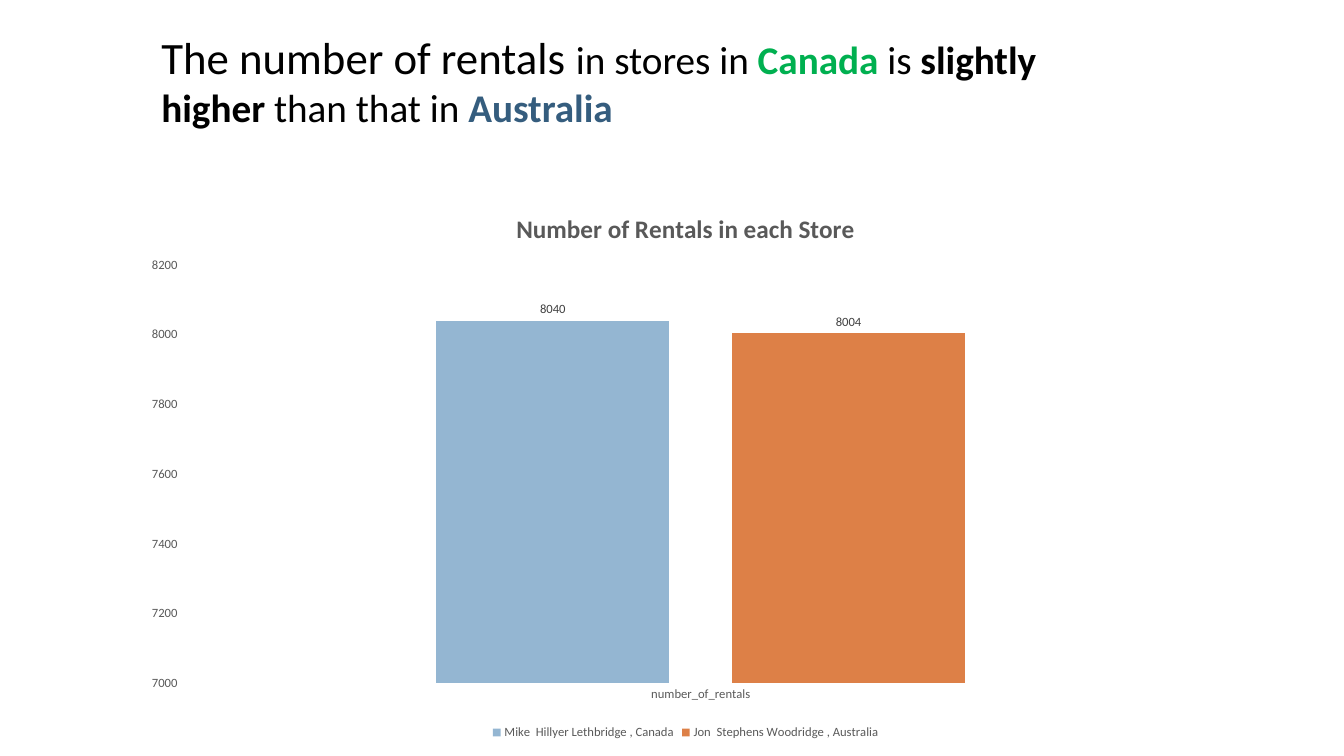
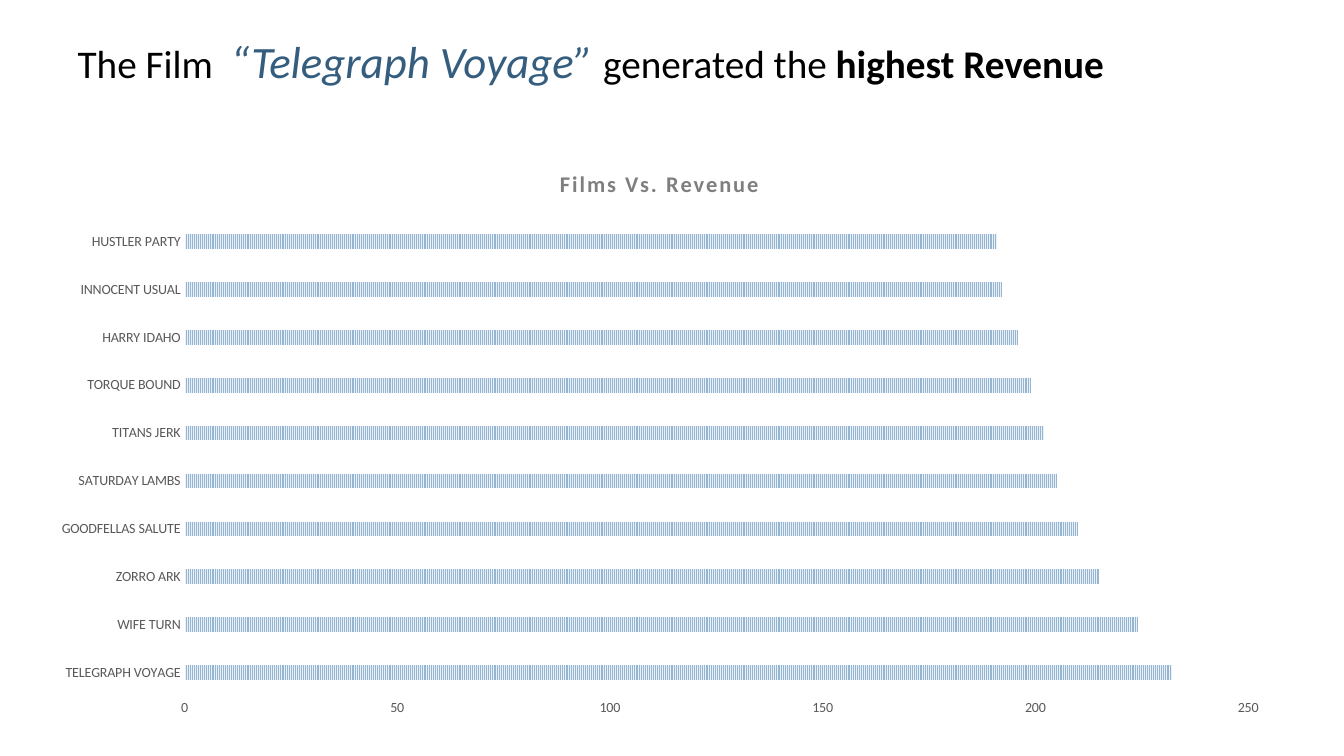
from dataclasses import dataclass
from typing import Optional

from lxml import etree
from pptx import Presentation
from pptx.chart.data import CategoryChartData
from pptx.dml.color import RGBColor
from pptx.enum.chart import XL_CHART_TYPE, XL_LABEL_POSITION, XL_LEGEND_POSITION, XL_TICK_MARK
from pptx.enum.dml import MSO_PATTERN
from pptx.enum.text import MSO_ANCHOR, MSO_AUTO_SIZE, PP_ALIGN
from pptx.oxml.ns import qn
from pptx.util import Inches, Pt

COLUMNS, BARS = XL_CHART_TYPE.COLUMN_CLUSTERED, XL_CHART_TYPE.BAR_CLUSTERED
OUTSIDE_END = XL_LABEL_POSITION.OUTSIDE_END
LEGEND_BOTTOM = XL_LEGEND_POSITION.BOTTOM
NO_TICK = XL_TICK_MARK.NONE
NARROW_VERTICAL = MSO_PATTERN.NARROW_VERTICAL
TOP, LEFT = MSO_ANCHOR.TOP, PP_ALIGN.LEFT
FIT_SHAPE = MSO_AUTO_SIZE.SHAPE_TO_FIT_TEXT

FONT = "Calibri"
BLACK, GREEN, NAVY = "000000", "00B050", "355D7E"
BLUE, PALE_BLUE, ORANGE = "94B6D2", "EAF0F6", "DD8047"
DARK_GREY, GREY, LIGHT_GREY = "404040", "595959", "7F7F7F"
TITLE_ONLY = 5


@dataclass
class Box:
    """A rectangle in inches."""
    left: float
    top: float
    width: float
    height: float

    def emu(self) -> tuple:
        return tuple(Inches(v) for v in (self.left, self.top, self.width, self.height))


@dataclass
class Span:
    """A stretch of title text in one format."""
    text: str
    size: float = 28
    color: str = BLACK
    bold: bool = False
    italic: bool = False


@dataclass
class Series:
    name: str
    values: list
    color: str
    pattern_back: Optional[str] = None


@dataclass
class ChartSpec:
    kind: int
    box: Box
    plot: Box
    title: str
    title_size: float
    title_color: str
    categories: list
    series: list
    scale: tuple  # minimum, maximum, major unit
    gap: int
    overlap: int
    text_size: float
    title_spacing: int = 0  # hundredths of a point
    labelled: bool = False  # value labels and legend


def rgb(color: str) -> RGBColor:
    return RGBColor.from_string(color)


def style_font(font, size: float, color: str, bold: bool = False, italic: bool = False) -> None:
    font.name, font.size = FONT, Pt(size)
    font.bold, font.italic = bold, italic
    font.color.rgb = rgb(color)


def add_text(p, text: str, **fmt):
    r = p.add_run()
    r.text = text
    style_font(r.font, **fmt)
    return r


def set_title(s, box: Box, spans: list) -> None:
    sp = s.shapes.title
    sp.left, sp.top, sp.width, sp.height = box.emu()
    tf = sp.text_frame
    tf.word_wrap, tf.vertical_anchor, tf.auto_size = True, TOP, FIT_SHAPE
    p = tf.paragraphs[0]
    p.alignment = LEFT
    for span in spans:
        add_text(p, span.text, size=span.size, color=span.color,
                 bold=span.bold, italic=span.italic)


def place_plot(chart, box: Box, plot: Box) -> None:
    """Fix the inner plot area, given in slide inches."""
    area = chart._chartSpace.find(qn("c:chart")).find(qn("c:plotArea"))
    for old in area.findall(qn("c:layout")):
        area.remove(old)
    layout = etree.Element(qn("c:layout"))
    manual = etree.SubElement(layout, qn("c:manualLayout"))
    settings = {
        "layoutTarget": "inner", "xMode": "edge", "yMode": "edge",
        "x": (plot.left - box.left) / box.width,
        "y": (plot.top - box.top) / box.height,
        "w": plot.width / box.width,
        "h": plot.height / box.height,
    }
    for tag, value in settings.items():
        etree.SubElement(manual, qn(f"c:{tag}")).set("val", str(value))
    area.insert(0, layout)


def add_chart(s, spec: ChartSpec) -> None:
    data = CategoryChartData()
    data.categories = spec.categories
    for series in spec.series:
        data.add_series(series.name, series.values)
    chart = s.shapes.add_chart(spec.kind, *spec.box.emu(), data).chart
    style_font(chart.font, 10, BLACK)
    place_plot(chart, spec.box, spec.plot)

    # Chart title
    chart.has_title = True
    r = add_text(chart.chart_title.text_frame.paragraphs[0], spec.title,
                 size=spec.title_size, color=spec.title_color, bold=True)
    if spec.title_spacing:
        r.font._element.set("spc", str(spec.title_spacing))
    chart.chart_title.include_in_layout = False

    # Axes
    for axis in (chart.category_axis, chart.value_axis):
        axis.has_major_gridlines = False
        axis.major_tick_mark = axis.minor_tick_mark = NO_TICK
        axis.format.line.fill.background()
        style_font(axis.tick_labels.font, spec.text_size, GREY)
    axis = chart.value_axis
    axis.minimum_scale, axis.maximum_scale, axis.major_unit = spec.scale

    # Bars
    plot = chart.plots[0]
    plot.gap_width, plot.overlap, plot.vary_by_categories = spec.gap, spec.overlap, False
    for bars, series in zip(plot.series, spec.series):
        fill = bars.format.fill
        if series.pattern_back:
            fill.patterned()
            fill.pattern = NARROW_VERTICAL
            fill.fore_color.rgb = rgb(series.color)
            fill.back_color.rgb = rgb(series.pattern_back)
        else:
            fill.solid()
            fill.fore_color.rgb = rgb(series.color)
        bars.format.line.fill.background()

    # Value labels and legend
    chart.has_legend = spec.labelled
    if spec.labelled:
        plot.has_data_labels = True
        labels = plot.data_labels
        labels.show_value, labels.position = True, OUTSIDE_END
        style_font(labels.font, spec.text_size, DARK_GREY)
        chart.legend.position = LEGEND_BOTTOM
        chart.legend.include_in_layout = False
        style_font(chart.legend.font, spec.text_size, GREY)


RENTALS = ChartSpec(
    kind=COLUMNS, box=Box(1.28, 1.89, 11.04, 5.49), plot=Box(1.8, 2.63, 10.3, 4.15),
    title="Number of Rentals in each Store", title_size=18, title_color=GREY,
    categories=["number_of_rentals"],
    series=[Series("Mike  Hillyer Lethbridge , Canada", [8040], BLUE),
            Series("Jon  Stephens Woodridge , Australia", [8004], ORANGE)],
    scale=(7000, 8200, 200), gap=219, overlap=-27, text_size=9, labelled=True)

REVENUE = ChartSpec(
    kind=BARS, box=Box(0.36, 1.47, 12.36, 5.75), plot=Box(1.83, 2.16, 10.55, 4.75),
    title="Films Vs. Revenue", title_size=16, title_color=LIGHT_GREY, title_spacing=150,
    categories=["TELEGRAPH VOYAGE", "WIFE TURN", "ZORRO ARK", "GOODFELLAS SALUTE",
                "SATURDAY LAMBS", "TITANS JERK", "TORQUE BOUND", "HARRY IDAHO",
                "INNOCENT USUAL", "HUSTLER PARTY"],
    series=[Series("Series 1", [232, 224, 215, 210, 205, 202, 199, 196, 192, 191],
                   BLUE, pattern_back=PALE_BLUE)],
    scale=(0, 250, 50), gap=227, overlap=-48, text_size=10)

# Title box, title text and chart of each slide
SLIDES = [
    (Box(1.5, 0.24, 9.49, 1.11),
     [Span("The number of rentals ", size=32), Span("in stores in "),
      Span("Canada", color=GREEN, bold=True), Span(" is "),
      Span("slightly higher ", bold=True), Span("than that in "),
      Span("Australia", color=NAVY, bold=True)],
     RENTALS),
    (Box(0.67, 0.28, 11.39, 0.64),
     [Span("The Film  "), Span("“Telegraph Voyage” ", size=32, color=NAVY, italic=True),
      Span("generated the "), Span("highest Revenue", bold=True)],
     REVENUE),
]


def main() -> None:
    prs = Presentation()
    prs.slide_width, prs.slide_height = Inches(13.33), Inches(7.5)
    for title_box, spans, spec in SLIDES:
        s = prs.slides.add_slide(prs.slide_layouts[TITLE_ONLY])
        set_title(s, title_box, spans)
        add_chart(s, spec)
    prs.save("out.pptx")


if __name__ == "__main__":
    main()
